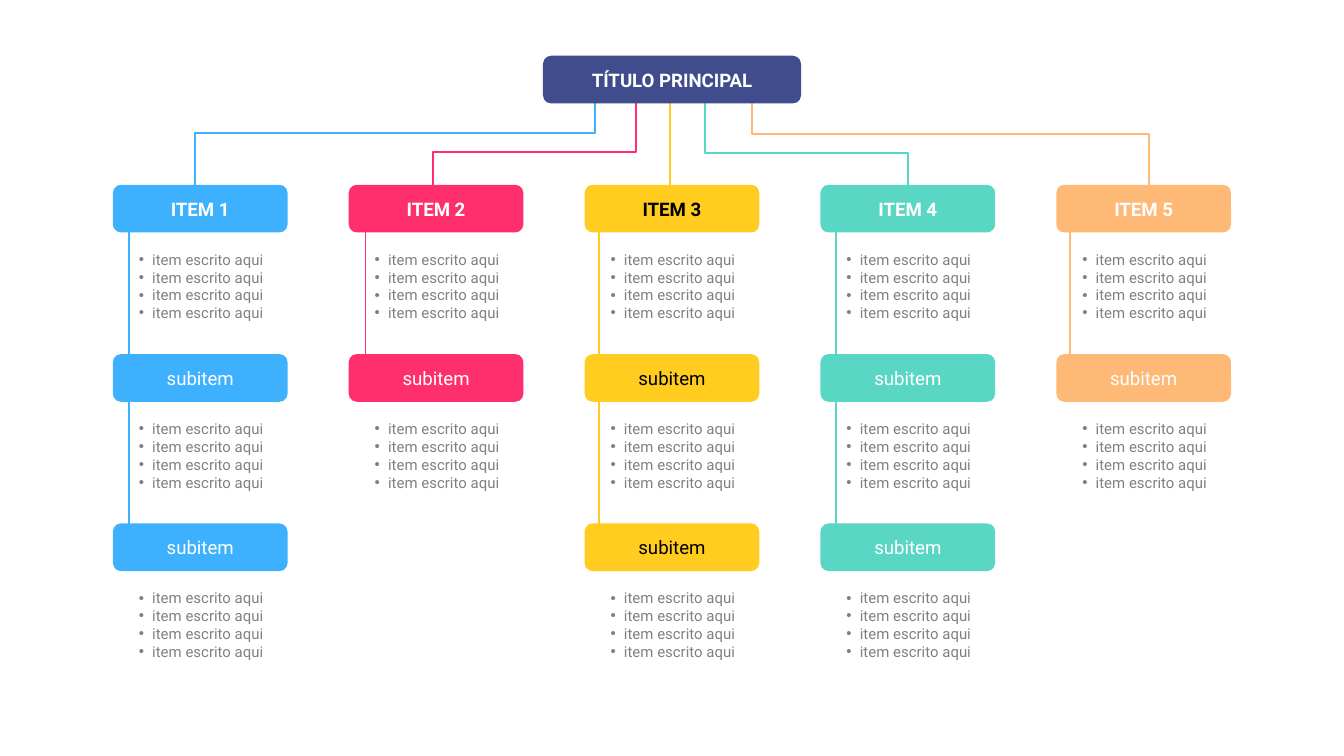
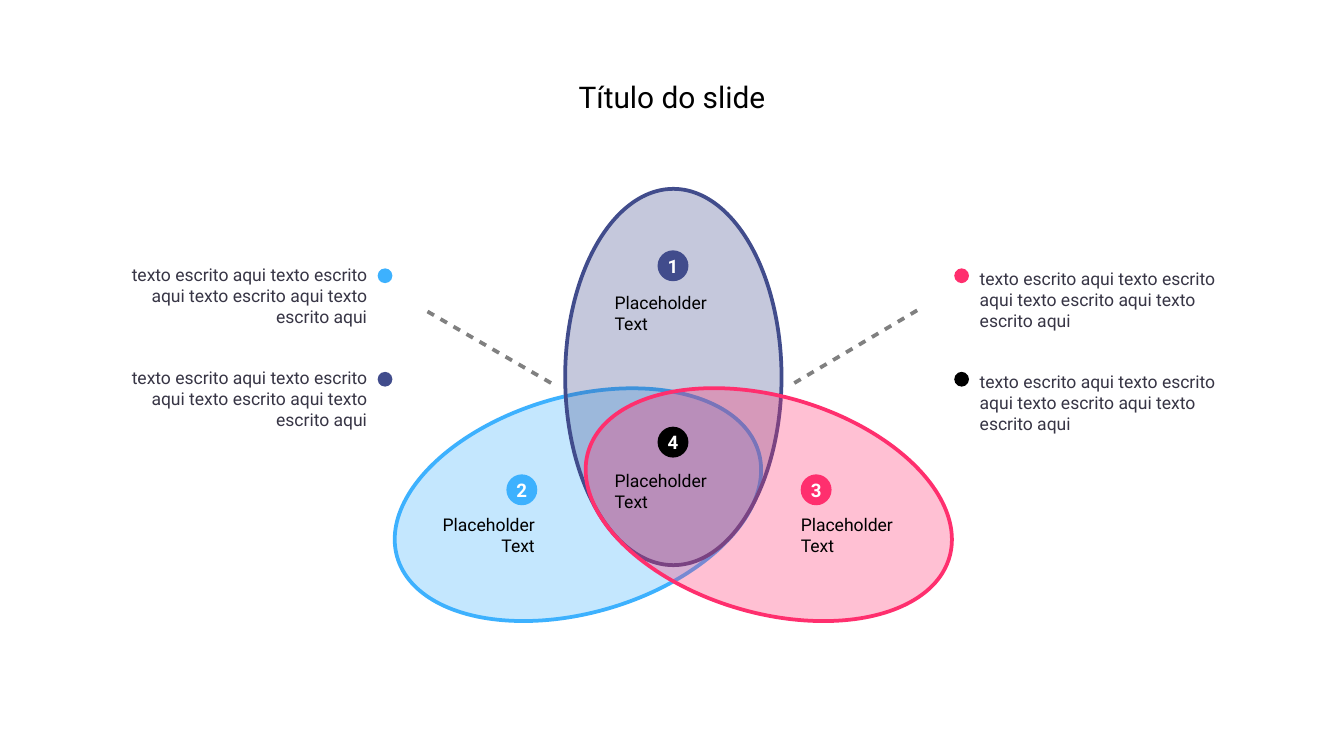
from lxml import etree
from pptx import Presentation, util as u
from pptx.dml.color import RGBColor
from pptx.enum import shapes, text
from pptx.oxml.ns import qn

BLUE = RGBColor(0x3D, 0xB1, 0xFE)
PINK = RGBColor(0xFF, 0x2F, 0x6E)
GOLD = RGBColor(0xFF, 0xCC, 0x1F)
MINT = RGBColor(0x5A, 0xD7, 0xC4)
PEACH = RGBColor(0xFE, 0xB9, 0x76)
NAVY = RGBColor(0x41, 0x4C, 0x8C)
GRAY = RGBColor(0x80, 0x80, 0x80)
INK = RGBColor(0x37, 0x35, 0x45)
BLACK = RGBColor(0, 0, 0)
WHITE = RGBColor(0xFF, 0xFF, 0xFF)

FONT = "Roboto"
COLS, ROWS = 100, 56.25
CELL = u.Inches(0.1)
LEFT, MID, RIGHT = text.PP_ALIGN.LEFT, text.PP_ALIGN.CENTER, text.PP_ALIGN.RIGHT
TOP, CENTER = text.MSO_ANCHOR.TOP, text.MSO_ANCHOR.MIDDLE
OVAL, CARD = shapes.MSO_SHAPE.OVAL, shapes.MSO_SHAPE.ROUNDED_RECTANGLE
FIT = text.MSO_AUTO_SIZE.SHAPE_TO_FIT_TEXT
PLAIN = text.MSO_AUTO_SIZE.NONE


def grid(*cells):
    return [u.Emu(round(cell * CELL)) for cell in cells]


def write(frame, lines, size=10, color=WHITE, bold=False, align=MID,
          anchor=CENTER, inset=(1, 0.5), wrap=True, fit=PLAIN, bullet=False):
    frame.word_wrap = wrap
    frame.auto_size = fit
    frame.vertical_anchor = anchor
    frame.margin_left = frame.margin_right = grid(inset[0])[0]
    frame.margin_top = frame.margin_bottom = grid(inset[1])[0]
    for num, line in enumerate(lines):
        para = frame.paragraphs[0] if num == 0 else frame.add_paragraph()
        para.alignment = align
        if bullet:
            props = para._p.get_or_add_pPr()
            props.set("marL", str(CELL))
            props.set("indent", str(-CELL))
            etree.SubElement(props, qn("a:buFont"), typeface="Arial")
            etree.SubElement(props, qn("a:buChar"), char="•")
        run = para.add_run()
        run.text = line
        font = run.font
        font.name, font.size, font.bold = FONT, u.Pt(size), bold
        font.color.rgb = color


def label(slide, box, lines, **style):
    write(slide.shapes.add_textbox(*grid(*box)).text_frame, lines,
          anchor=TOP, fit=FIT, **style)


def shape(slide, kind, box, fill=None, line=None, turn=0, alpha=None):
    form = slide.shapes.add_shape(kind, *grid(*box))
    form.shadow.inherit = False
    form.rotation = turn
    if kind == CARD:
        form.adjustments[0] = 0.171
    if fill is None:
        form.fill.background()
    else:
        form.fill.solid()
        form.fill.fore_color.rgb = fill
        if alpha:
            tint = next(form._element.spPr.iter(qn("a:srgbClr")))
            etree.SubElement(tint, qn("a:alpha"), val=str(alpha * 1000))
    if line is None:
        form.line.fill.background()
    else:
        form.line.color.rgb = line
        form.line.width = u.Pt(2)
    return form


def rule(slide, ends, color, width=1, dashed=False):
    line = slide.shapes.add_connector(shapes.MSO_CONNECTOR.STRAIGHT, *grid(*ends))
    line.line.color.rgb = color
    line.line.width = u.Pt(width)
    if dashed:
        dash = etree.SubElement(line._element.spPr.find(qn("a:ln")), qn("a:custDash"))
        etree.SubElement(dash, qn("a:ds"), d="200000", sp="200000")
    etree.SubElement(line._element.spPr, qn("a:effectLst"))


def title(slide, box, words, **style):
    head = slide.shapes.title
    head.left, head.top, head.width, head.height = grid(*box)
    write(head.text_frame, [words], **style)
    slide.shapes._spTree.append(head._element)


def feeder(slide, start, bend, end, color):
    points = [grid(*spot) for spot in
              ((start, 7.3), (start, bend), (end, bend), (end, 15))]
    path = slide.shapes.build_freeform(*points[0], scale=1.0)
    path.add_line_segments(points[1:], close=False)
    form = path.convert_to_shape()
    form.shadow.inherit = False
    form.fill.background()
    form.line.color.rgb = color
    form.line.width = u.Pt(1)


def branch(slide, box, head, subs, color, ink, spine):
    left, top, width, high = box
    step = 12.6
    rule(slide, (left + spine, top + 2, left + spine, top + step * subs + 1), color)
    for row in range(subs + 1):
        y = top + row * step
        card = shape(slide, CARD, (left, y, width, high), color)
        write(card.text_frame, ["subitem" if row else head], color=ink, bold=row == 0)
        label(slide, (left + 0.8, y + 4.38, width - 1.6, 6.4),
              ["item escrito aqui"] * 4, size=8, color=GRAY,
              align=RIGHT, wrap=False, bullet=True)


def tree(slide):
    branches = (
        (BLUE, WHITE, 2, 1.2, (44.3, 9.9, 14.5)),
        (PINK, WHITE, 1, 1.25, (47.3, 11.3, 32.2)),
        (GOLD, BLACK, 2, 1.1, (49.83, 11.3, 49.83)),
        (MINT, WHITE, 2, 1.15, (52.45, 11.4, 67.55)),
        (PEACH, WHITE, 1, 1, (55.95, 10, 85.5)),
    )
    for num, (color, ink, subs, spine, route) in enumerate(branches):
        feeder(slide, *route, color)
        branch(slide, (8.4 + num * 17.55, 13.75, 13, 3.55), f"ITEM {num + 1}",
               subs, color, ink, spine)
    banner = (40.4, 4.15, 19.2, 3.55)
    shape(slide, CARD, banner, NAVY)
    title(slide, banner, "TÍTULO PRINCIPAL", bold=True)


def venn(slide, box):
    left, top = box[:2]
    for x, y, turn, color in ((0, 15.5, 163.8, BLUE), (7.1, 6, 270, NAVY),
                              (14.2, 15.5, 16.3, PINK)):
        place = (left + x, top + y, 28, 16.1)
        shape(slide, OVAL, place, line=color, turn=turn)
        shape(slide, OVAL, place, fill=color, turn=turn, alpha=30)
    tags = ((19.93, 4.63, -3.4, 2.9, LEFT, NAVY), (8.68, 21.3, -6.9, 2.75, RIGHT, BLUE),
            (30.58, 21.3, -0.2, 2.75, LEFT, PINK), (19.93, 17.75, -3.4, 3, LEFT, BLACK))
    for num, (x, y, across, down, align, color) in enumerate(tags, 1):
        badge = shape(slide, OVAL, (left + x, top + y, 2.3, 2.3), color)
        write(badge.text_frame, [str(num)], bold=True, inset=(0, 0))
        label(slide, (left + x + across, top + y + down, 9.2, 3.6),
              ["Placeholder Text"], size=9.4, color=BLACK, align=align, inset=(0.2, 0.2))
    for near, far in ((12, 2.5), (30.1, 39.4)):
        rule(slide, (left + near, top + 14.5, left + far, top + 9), GRAY,
             width=2, dashed=True)


def note(slide, box, align, color):
    left, top, width, high = box
    x, y, dot = (0, -0.55, width - 1.1) if align == RIGHT else (1.7, -0.25, 0)
    label(slide, (left + x, top + y, width - 1.7, high),
          [" ".join(["texto escrito aqui"] * 4)], size=9.4, color=INK,
          align=align, inset=(0.2, 0.2))
    shape(slide, OVAL, (left + dot, top, 1.1, 1.1), color)


def circles(slide):
    title(slide, (37.15, 5.65, 25.7, 3.1), "Título do slide", size=16,
          color=BLACK, anchor=TOP, inset=(0.2, 0.2))
    venn(slide, (29, 14, 42.2, 32.2))
    for left, align, colors in ((7.2, RIGHT, (BLUE, NAVY)), (71, LEFT, (PINK, BLACK))):
        for row, color in enumerate(colors):
            note(slide, (left, 19.97 + row * 7.7, 22, 5.2), align, color)


def main():
    deck = Presentation()
    deck.slide_width, deck.slide_height = grid(COLS, ROWS)
    for draw in (tree, circles):
        draw(deck.slides.add_slide(deck.slide_layouts[5]))
    deck.save("out.pptx")


if __name__ == "__main__":
    main()
